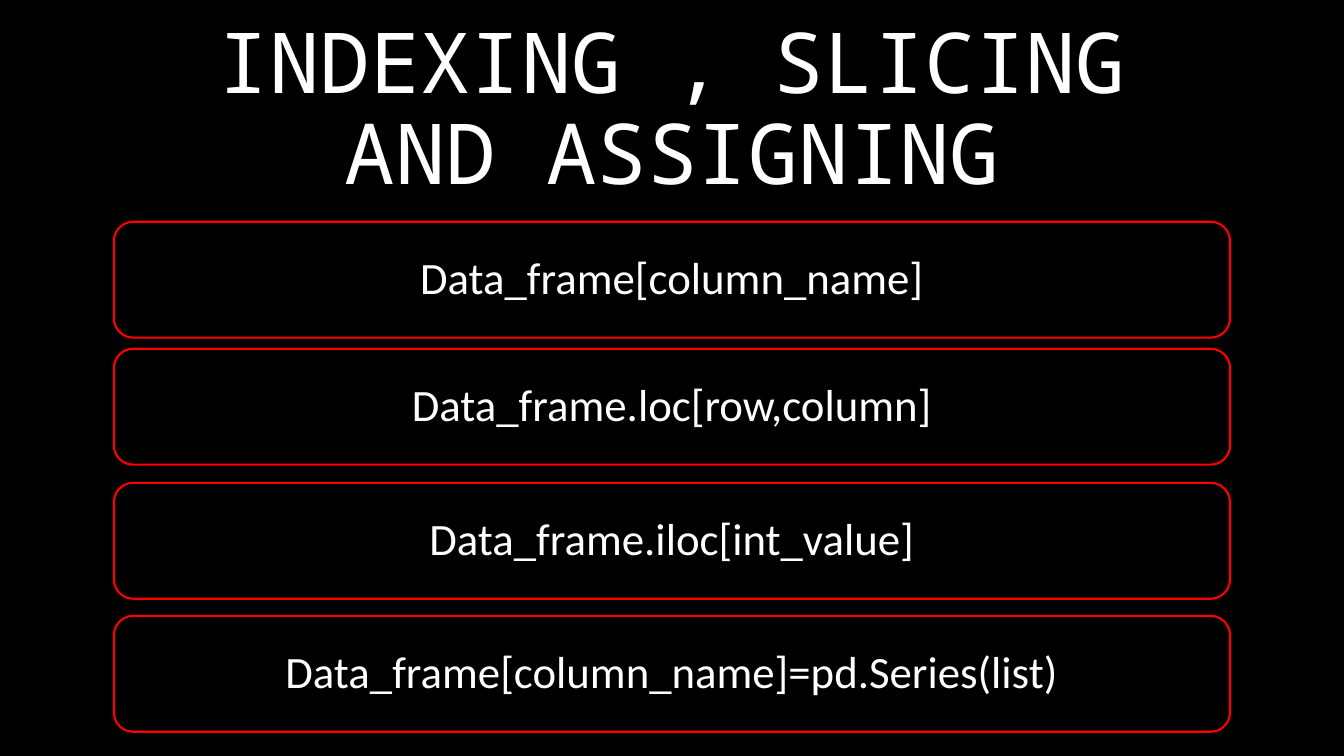
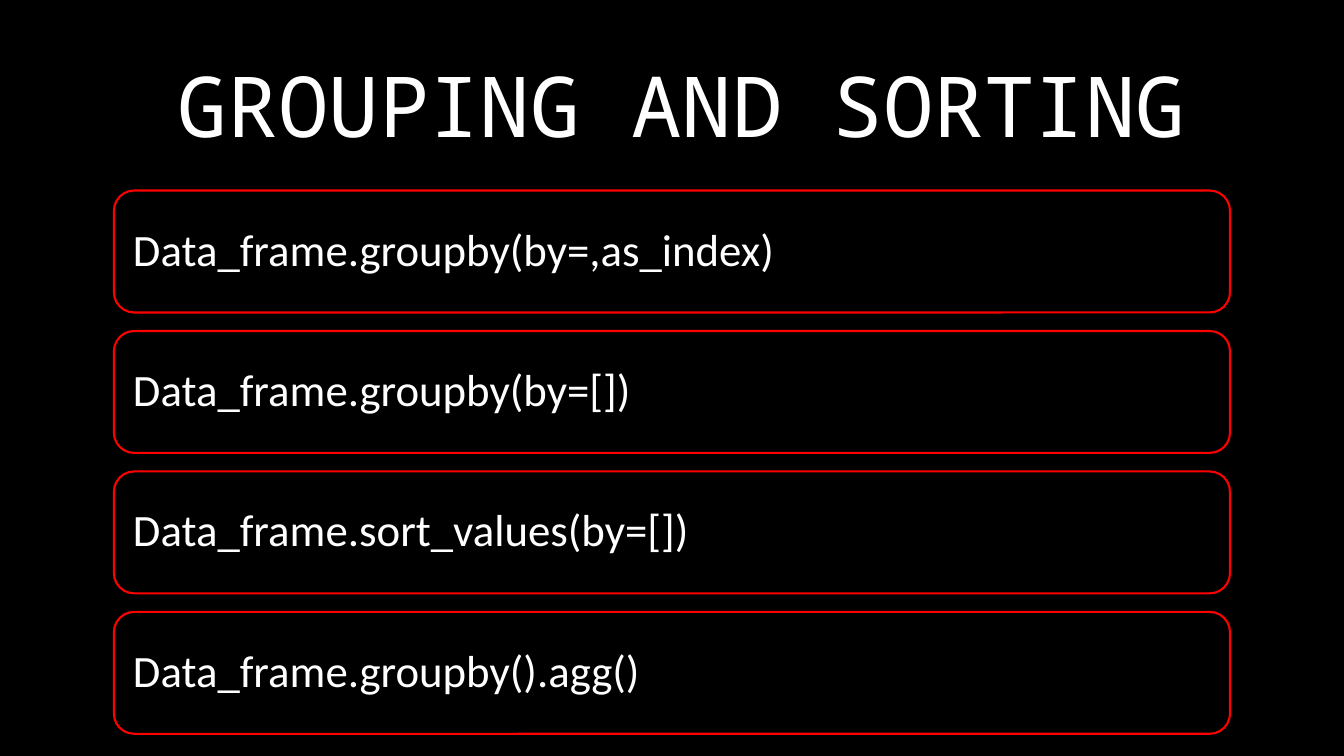
import pptx
import pptx.dml.color
import pptx.enum.shapes
import pptx.enum.text
import pptx.util

WIDE, HIGH = 13.33, 7.5
BLACK, WHITE, RED = "000000", "FFFFFF", "FF0000"
ALIGN = pptx.enum.text.PP_ALIGN
MIDDLE = pptx.enum.text.MSO_ANCHOR.MIDDLE
ROUND = pptx.enum.shapes.MSO_SHAPE.ROUNDED_RECTANGLE
LEFT, SPAN, PAD = 1.13, 11.07, 0.13


def paint(part, color):
    """Give a fill or font color format a solid hex colour."""
    part.rgb = pptx.dml.color.RGBColor.from_string(color)


def write(shape, text, font, size, align):
    """Set one white line of text, centred vertically in its shape."""
    frame = shape.text_frame
    frame.text = text
    frame.word_wrap = True
    frame.auto_size = pptx.enum.text.MSO_AUTO_SIZE.NONE
    frame.vertical_anchor = MIDDLE
    line = frame.paragraphs[0]
    line.alignment = align
    line.line_spacing = 0.9
    style = line.runs[0].font
    style.name, style.size = font, pptx.util.Pt(size)
    paint(style.color, WHITE)


def head(slide, text, left, top):
    """Place and format the slide title."""
    title = slide.shapes.title
    title.left, title.top = pptx.util.Inches(left), pptx.util.Inches(top)
    title.width, title.height = pptx.util.Inches(11), pptx.util.Inches(1.76)
    write(title, text, "Noto Sans Mono", 60, ALIGN.CENTER)


def card(slide, text, box, align):
    """Draw one red outlined card with its code line."""
    shape = slide.shapes.add_shape(ROUND, *map(pptx.util.Inches, box))
    shape.shadow.inherit = False
    shape.fill.background()
    paint(shape.line.color, RED)
    shape.line.width = pptx.util.Pt(1.5)
    frame = shape.text_frame
    frame.margin_left = frame.margin_right = pptx.util.Inches(PAD)
    frame.margin_top = frame.margin_bottom = pptx.util.Inches(PAD)
    write(shape, text, "Calibri", 32, align)


def page(deck, title, spot, lines, tops, tall, align):
    """Add a slide with a title above a stack of cards."""
    slide = deck.slides.add_slide(deck.slide_layouts[5])
    head(slide, title, *spot)
    for text, top in zip(lines, tops):
        card(slide, text, (LEFT, top, SPAN, tall), align)


def main():
    """Build and save the deck."""
    deck = pptx.Presentation()
    deck.slide_width = pptx.util.Inches(WIDE)
    deck.slide_height = pptx.util.Inches(HIGH)
    back = deck.slide_master.background.fill
    back.solid()
    paint(back.fore_color, BLACK)

    page(deck, "INDEXING , SLICING AND ASSIGNING", (1.17, 0.23),
         ["Data_frame[column_name]",
          "Data_frame.loc[row,column]",
          "Data_frame.iloc[int_value]",
          "Data_frame[column_name]=pd.Series(list)"],
         [2.2, 3.46, 4.79, 6.11], 1.15, ALIGN.CENTER)
    page(deck, "GROUPING AND SORTING", (1.26, 0.21),
         ["Data_frame.groupby(by=,as_index)",
          "Data_frame.groupby(by=[])",
          "Data_frame.sort_values(by=[])",
          "Data_frame.groupby().agg()"],
         [1.89 + 4.18 * row / 3 for row in range(4)], 1.21, ALIGN.LEFT)
    deck.save("out.pptx")


if __name__ == "__main__":
    main()
